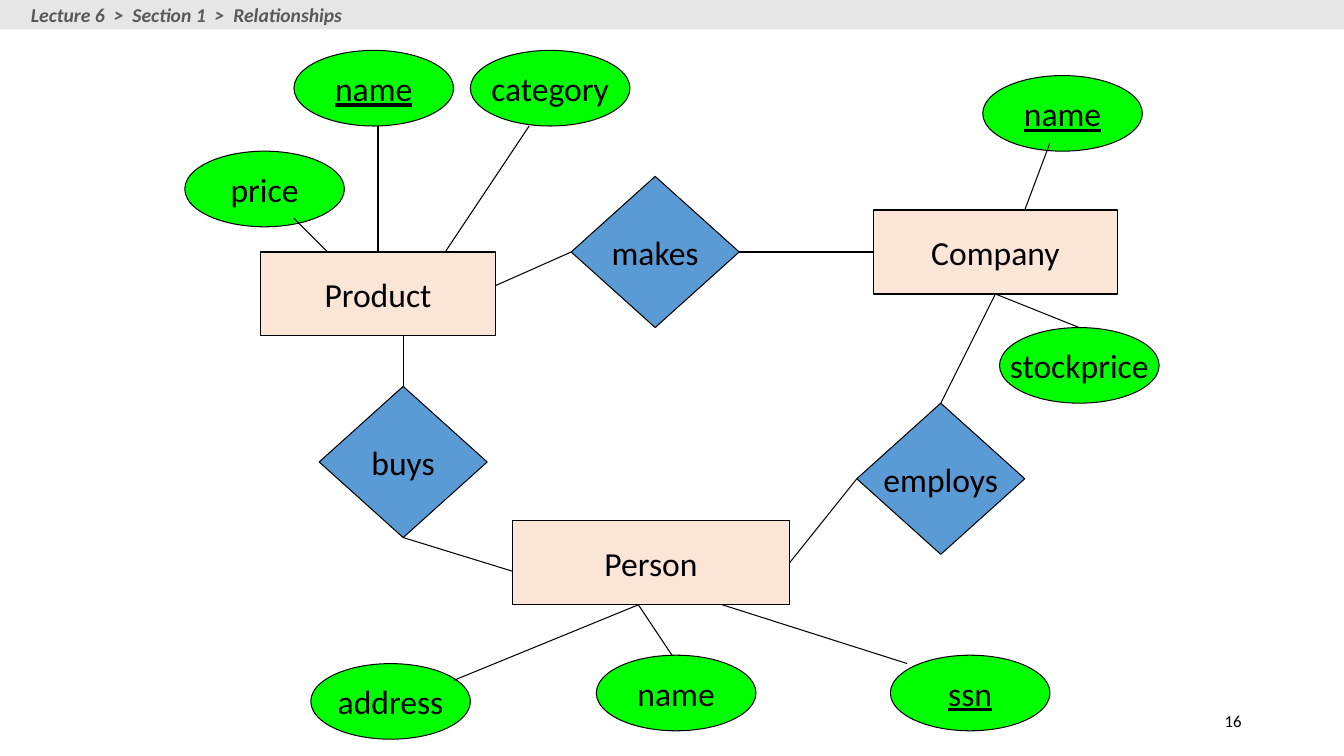
from dataclasses import dataclass

from lxml import etree
from pptx import Presentation
from pptx import util as u
from pptx.dml.color import RGBColor
from pptx.enum import shapes, text
from pptx.oxml import ns

# Grid: 160 columns by 90 rows, each cell 1/12 inch
COLS, ROWS = 160, 90
CELL = u.Inches(1) / 12
FONT, BLACK = "Calibri", "000000"
ALIGN, ANCHOR = text.PP_ALIGN, text.MSO_ANCHOR


@dataclass(frozen=True)
class Kind:
    form: shapes.MSO_SHAPE
    fill: str
    high: float


@dataclass(frozen=True)
class Node:
    kind: Kind
    label: str
    col: float
    row: float
    wide: float
    key: bool = False


@dataclass(frozen=True)
class Link:
    col: float
    row: float
    to_col: float
    to_row: float


ENTITY = Kind(shapes.MSO_SHAPE.RECTANGLE, "FBE5D6", 10)
FIELD = Kind(shapes.MSO_SHAPE.OVAL, "00FF00", 9)
BOND = Kind(shapes.MSO_SHAPE.DIAMOND, "5B9BD5", 18)

NODES = [
    # Relationships
    Node(BOND, "makes", 68, 21, 20),
    Node(BOND, "buys", 38, 46, 20),
    Node(BOND, "employs", 102, 48, 20),
    # Product
    Node(ENTITY, "Product", 31, 30, 28),
    Node(FIELD, "name", 35, 6, 19, key=True),
    Node(FIELD, "category", 56, 6, 19),
    Node(FIELD, "price", 22, 18, 19),
    # Person
    Node(ENTITY, "Person", 61, 62, 33),
    Node(FIELD, "address", 37, 79, 19),
    Node(FIELD, "name", 71, 78, 19),
    Node(FIELD, "ssn", 106, 78, 19, key=True),
    # Company
    Node(ENTITY, "Company", 104, 25, 29),
    Node(FIELD, "stockprice", 119, 39, 19),
    Node(FIELD, "name", 117, 9, 19, key=True),
]

LINKS = [
    # Relationships to entities
    Link(88, 30, 104, 30), Link(68, 30, 59, 34),
    Link(48, 46, 48, 40), Link(48, 64, 61, 68),
    Link(102, 57, 94, 67), Link(112, 48, 118.5, 35),
    # Product to its attributes
    Link(39, 30, 35, 26), Link(45, 30, 45, 15), Link(53, 30, 63, 15),
    # Person to its attributes
    Link(76, 72, 54, 81), Link(76, 72, 80, 78), Link(86, 72, 108, 79),
    # Company to its attributes
    Link(122, 25, 125, 17), Link(118.5, 35, 128.5, 39),
]


def grid(*cells: float) -> list[int]:
    return [round(c * CELL) for c in cells]


def paint(part, hue: str) -> None:
    part.fore_color.rgb = RGBColor.from_string(hue)


def write(shape, words: str, size: float, align, anchor=ANCHOR.MIDDLE,
          hue: str = BLACK):
    frame = shape.text_frame
    frame.word_wrap = False
    frame.vertical_anchor = anchor
    para = frame.paragraphs[0]
    para.text = words
    para.alignment = align
    font = para.font
    font.name, font.size = FONT, u.Pt(size)
    font.color.rgb = RGBColor.from_string(hue)
    return font


def block(slide, form, box: list[int], hue: str):
    shape = slide.shapes.add_shape(form, *box)
    shape.shadow.inherit = False
    shape.fill.solid()
    paint(shape.fill, hue)
    return shape


def stroke(line) -> None:
    line.fill.solid()
    paint(line.fill, BLACK)
    line.width = u.Pt(0.75)


def draw_node(slide, node: Node) -> None:
    kind = node.kind
    box = grid(node.col, node.row, node.wide, kind.high)
    shape = block(slide, kind.form, box, kind.fill)
    stroke(shape.line)
    font = write(shape, node.label, 24, ALIGN.CENTER)
    if node.key:
        font.underline = True


def draw_link(slide, link: Link) -> None:
    ends = grid(link.col, link.row, link.to_col, link.to_row)
    wire = slide.shapes.add_connector(shapes.MSO_CONNECTOR.STRAIGHT, *ends)
    stroke(wire.line)
    etree.SubElement(wire._element.spPr, ns.qn("a:effectLst"))


def main() -> None:
    deck = Presentation()
    deck.slide_width, deck.slide_height = grid(COLS, ROWS)
    slide = deck.slides.add_slide(deck.slide_layouts[6])

    # Diagram
    for node in NODES:
        draw_node(slide, node)
    for link in LINKS:
        draw_link(slide, link)

    # Header band
    band = block(slide, shapes.MSO_SHAPE.RECTANGLE, grid(0, 0, COLS, 3.5), "E7E6E6")
    band.line.fill.background()
    trail = slide.shapes.add_textbox(*grid(2.5, -0.25, 39.9, 4))
    font = write(trail, "Lecture 6  >  Section 1  >  Relationships", 14,
                 ALIGN.LEFT, ANCHOR.TOP, "595959")
    font.bold = font.italic = True

    # Page number
    page = slide.shapes.add_textbox(*grid(113, 83.4, 36, 4.8))
    write(page, "16", 12, ALIGN.RIGHT)
    page.text_frame.word_wrap = True

    deck.save("out.pptx")


if __name__ == "__main__":
    main()
